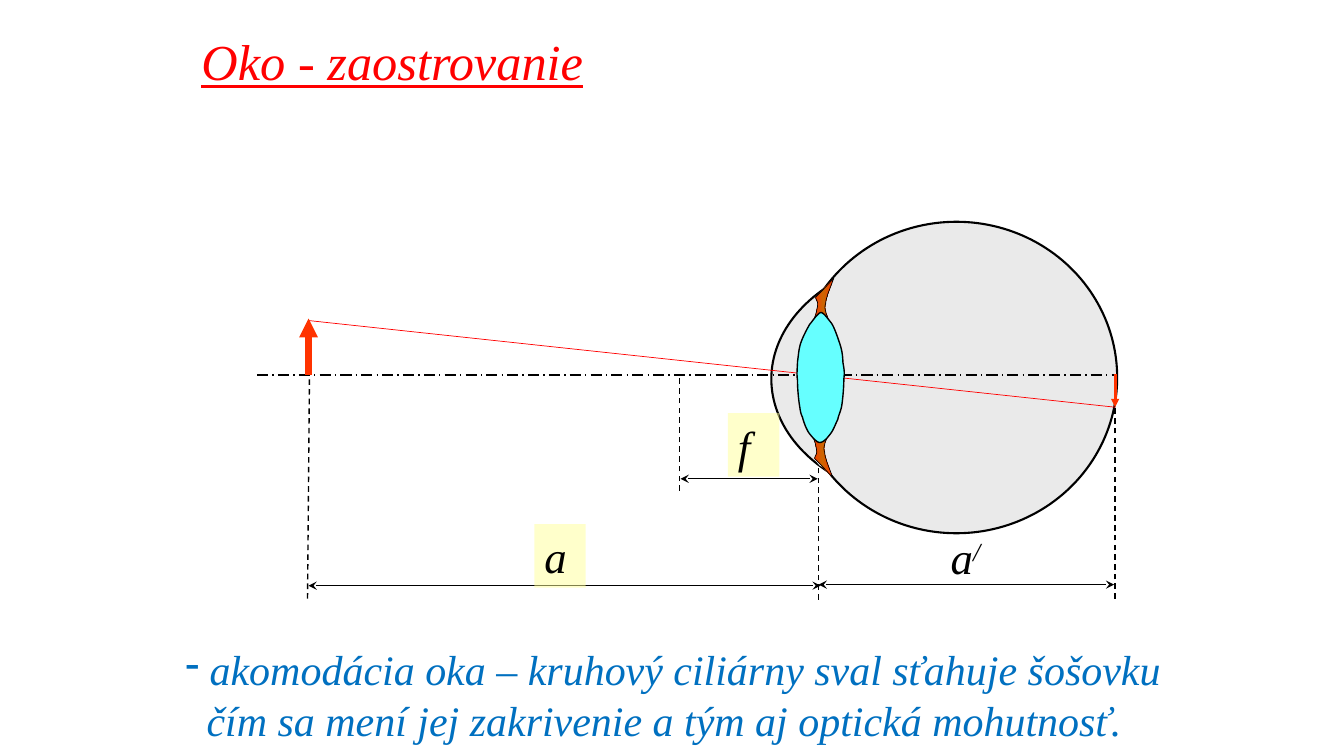
from copy import deepcopy
from dataclasses import dataclass

from lxml import etree
from pptx import Presentation
from pptx.dml.color import RGBColor
from pptx.enum import dml, shapes, text
from pptx.oxml.ns import qn
from pptx.util import Inches, Pt


@dataclass(frozen=True)
class Theme:
    font: str = "Times New Roman"
    title_size: int = 36
    label_size: int = 32
    note_size: int = 30
    ink: str = "000000"
    title: str = "FF0000"
    note: str = "0070C0"
    ray: str = "FF0000"
    arrow: str = "FF3300"
    eyeball: str = "EAEAEA"
    muscle: str = "CC6600"
    lens: str = "66FFFF"
    label: str = "FFFF99"


THEME = Theme()

# Content: text
TITLE = "Oko - zaostrovanie"
NOTES = [  # text, bullet, left margin
    ("akomodácia oka – kruhový ciliárny sval sťahuje šošovku", "-", 0.24),
    ("čím sa mení jej zakrivenie a tým aj optická mohutnosť.", None, 0.21),
]
LABELS = [  # base, superscript, left, top, width, filled
    ("a", "", 5.3, 5.2, 0.51, True),
    ("f", "", 7.22, 4.1, 0.51, True),
    ("a", "/", 9.33, 5.21, 0.57, False),
]
LABEL_HEIGHT = 0.63

# Content: optical layout
OBJECT_X, FOCUS_X, LENS_X, RETINA_X = 3.06, 6.74, 8.12, 11.06
AXIS_Y = 3.72
GUIDES = [  # start, end
    ((RETINA_X, 5.94), (RETINA_X, 3.91)),
    ((FOCUS_X, 4.87), (FOCUS_X, 3.71)),
    ((LENS_X, 5.95), (LENS_X, 4.19)),
    ((3.05, 5.94), (3.07, 3.68)),
]
DIMENSIONS = [  # from x, to x, y
    (OBJECT_X, 8.14, 5.81),
    (LENS_X, 11.05, 5.8),
    (6.75, 8.11, 4.75),
]
EYE_ELLIPSES = [(7.65, 2.53, 3.35, 2.46), (7.89, 2.2, 3.19, 3.09)]

# Outlines: a start point, then lines (x, y) and cubic curves (six numbers)
EYE_JOIN = [
    (8.55, 2.82), (8.52, 2.51, 8.28, 2.82, 8.17, 2.89),
    (8.06, 2.96, 7.94, 3.08, 7.89, 3.24), (7.83, 3.39, 7.82, 3.64, 7.82, 3.81),
    (7.82, 3.98, 7.84, 4.1, 7.89, 4.24), (7.94, 4.37, 8.05, 4.53, 8.13, 4.62),
    (8.35, 4.74), (8.43, 4.44, 8.58, 3.13, 8.55, 2.82),
]
UPPER_MUSCLE = [
    (8.27, 2.76), (8.21, 2.92), (8.2, 2.96, 8.19, 2.98, 8.19, 3.01),
    (8.18, 3.04, 8.18, 3.06, 8.19, 3.09), (8.19, 3.12, 8.23, 3.17, 8.21, 3.2),
    (8.19, 3.22, 8.09, 3.25, 8.07, 3.23), (8.05, 3.21, 8.1, 3.11, 8.1, 3.08),
    (8.11, 3.04, 8.11, 3.03, 8.11, 3.01), (8.11, 2.99, 8.09, 2.97, 8.09, 2.95),
    (8.15, 2.89), (8.27, 2.76),
]
LENS = [
    (8.14, 3.1), (8.11, 3.11, 8.07, 3.17, 8.03, 3.22),
    (8, 3.27, 7.96, 3.35, 7.94, 3.41), (7.92, 3.48, 7.92, 3.53, 7.91, 3.59),
    (7.91, 3.65, 7.9, 3.7, 7.91, 3.77), (7.91, 3.85, 7.92, 3.96, 7.93, 4.02),
    (7.94, 4.08, 7.94, 4.1, 7.96, 4.14), (7.97, 4.18, 7.99, 4.24, 8.02, 4.29),
    (8.05, 4.33, 8.1, 4.39, 8.13, 4.39), (8.17, 4.39, 8.21, 4.34, 8.24, 4.3),
    (8.27, 4.26, 8.29, 4.2, 8.31, 4.16), (8.32, 4.11, 8.34, 4.08, 8.35, 4.02),
    (8.36, 3.95, 8.37, 3.84, 8.37, 3.76), (8.38, 3.69, 8.37, 3.65, 8.36, 3.59),
    (8.36, 3.53, 8.35, 3.47, 8.33, 3.41), (8.31, 3.35, 8.28, 3.26, 8.25, 3.21),
    (8.21, 3.16, 8.17, 3.1, 8.14, 3.1),
]
CURVE_STEPS = 8


def rgb(color):
    return RGBColor.from_string(color)


def mirror(outline, height=7.5, shift=-0.01):
    return [tuple(height - value if i % 2 else value + shift
                  for i, value in enumerate(segment)) for segment in outline]


def flatten(outline):
    points = [outline[0]]
    for segment in outline[1:]:
        if len(segment) == 2:
            points.append(segment)
            continue
        p0, p1, p2, p3 = points[-1], segment[:2], segment[2:4], segment[4:]
        for step in range(1, CURVE_STEPS + 1):
            t = step / CURVE_STEPS
            weights = ((1 - t) ** 3, 3 * t * (1 - t) ** 2, 3 * t * t * (1 - t), t ** 3)
            points.append(tuple(sum(w * p[axis] for w, p in zip(weights, (p0, p1, p2, p3)))
                                for axis in (0, 1)))
    return points


def paint(shape, fill, width=None):
    shape.shadow.inherit = False
    shape.fill.solid()
    shape.fill.fore_color.rgb = rgb(fill)
    if width is None:
        shape.line.fill.background()
    else:
        shape.line.color.rgb = rgb(THEME.ink)
        shape.line.width = Pt(width)


def add_outline(page, outline, fill, width=None):
    points = [(Inches(x), Inches(y)) for x, y in flatten(outline)]
    builder = page.shapes.build_freeform(*points[0], scale=1.0)
    builder.add_line_segments(points[1:], close=True)
    shape = builder.convert_to_shape()
    paint(shape, fill, width)
    return shape


def shade_muscle(shape):
    shape.fill.gradient()
    shape.fill.gradient_angle = 0
    stops = shape._element.spPr.find(qn("a:gradFill")).find(qn("a:gsLst"))
    stops.insert(1, deepcopy(stops[0]))
    colors = (THEME.arrow, THEME.muscle, THEME.arrow)
    for stop, color, position in zip(shape.fill.gradient_stops, colors, (0, 0.5, 1)):
        stop.color.rgb = rgb(color)
        stop.position = position


def add_line(page, start, end, color=THEME.ink, width=1, dash=None, head=None, tail=None):
    line = page.shapes.add_connector(shapes.MSO_CONNECTOR.STRAIGHT,
                                     *(Inches(value) for value in (*start, *end)))
    line.line.color.rgb = rgb(color)
    line.line.width = Pt(width)
    if dash:
        line.line.dash_style = dash
    for tag, kind in (("a:headEnd", head), ("a:tailEnd", tail)):
        if kind:
            etree.SubElement(line.line._get_or_add_ln(), qn(tag), type=kind)
    etree.SubElement(line._element.spPr, qn("a:effectLst"))


def style(para, size, color, underline=None):
    para.alignment = text.PP_ALIGN.LEFT
    font = para.font
    font.name, font.size, font.color.rgb = THEME.font, Pt(size), rgb(color)
    font.italic, font.underline = True, underline


def add_text(page, left, top, width, height, wrap=False):
    box = page.shapes.add_textbox(*(Inches(v) for v in (left, top, width, height)))
    box.text_frame.word_wrap = wrap
    return box


deck = Presentation()
deck.slide_width, deck.slide_height = Inches(13.33), Inches(7.5)
page = deck.slides.add_slide(deck.slide_layouts[6])

# Dashed guides behind the eye
for start, end in GUIDES:
    add_line(page, start, end, dash=dml.MSO_LINE.DASH)

# Eyeball and ciliary muscle
for frame in EYE_ELLIPSES:
    paint(page.shapes.add_shape(shapes.MSO_SHAPE.OVAL, *(Inches(v) for v in frame)),
          THEME.eyeball, 1.5)
add_outline(page, EYE_JOIN, THEME.eyeball)
for muscle in (UPPER_MUSCLE, mirror(UPPER_MUSCLE)):
    shade_muscle(add_outline(page, muscle, THEME.muscle, 0.5))

# Optical axis, ray, object and its image on the retina
add_line(page, (2.55, AXIS_Y), (11.08, AXIS_Y), dash=dml.MSO_LINE.LONG_DASH_DOT)
add_line(page, (OBJECT_X, 3.18), (RETINA_X, 4.04), THEME.ray, 0.5)
add_line(page, (OBJECT_X, AXIS_Y), (OBJECT_X, 3.16), THEME.arrow, 4.5, tail="triangle")
add_line(page, (RETINA_X, 3.71), (RETINA_X, 4.04), THEME.arrow, 2, tail="triangle")

# Title and note
para = add_text(page, 1.9, 0.25, 4.01, 0.7).text_frame.paragraphs[0]
para.text = TITLE
style(para, THEME.title_size, THEME.title, underline=True)
frame = add_text(page, 1.74, 6.34, 9.95, 1.1).text_frame
for index, (line, bullet, margin) in enumerate(NOTES):
    para = frame.add_paragraph() if index else frame.paragraphs[0]
    para.text = line
    props = para._p.get_or_add_pPr()
    props.set("marL", str(Inches(margin)))
    if bullet:
        props.set("indent", str(-Inches(margin)))
        etree.SubElement(props, qn("a:buFontTx"))
        etree.SubElement(props, qn("a:buChar"), char=bullet)
    style(para, THEME.note_size, THEME.note)

# Lens and dimension arrows
add_outline(page, LENS, THEME.lens, 1)
for left, right, y in DIMENSIONS:
    add_line(page, (left, y), (right, y), head="stealth", tail="stealth")

# Distance labels
for base, superscript, left, top, width, filled in LABELS:
    box = add_text(page, left, top, width, LABEL_HEIGHT, wrap=True)
    if filled:
        paint(box, THEME.label)
        color = box._element.spPr.find(qn("a:solidFill"))[0]
        etree.SubElement(color, qn("a:alpha"), val="50000")
    para = box.text_frame.paragraphs[0]
    para.add_run().text = base
    if superscript:
        span = para.add_run()
        span.text = superscript
        span.font._element.set("baseline", "30000")
    style(para, THEME.label_size, THEME.ink)

deck.save("out.pptx")
